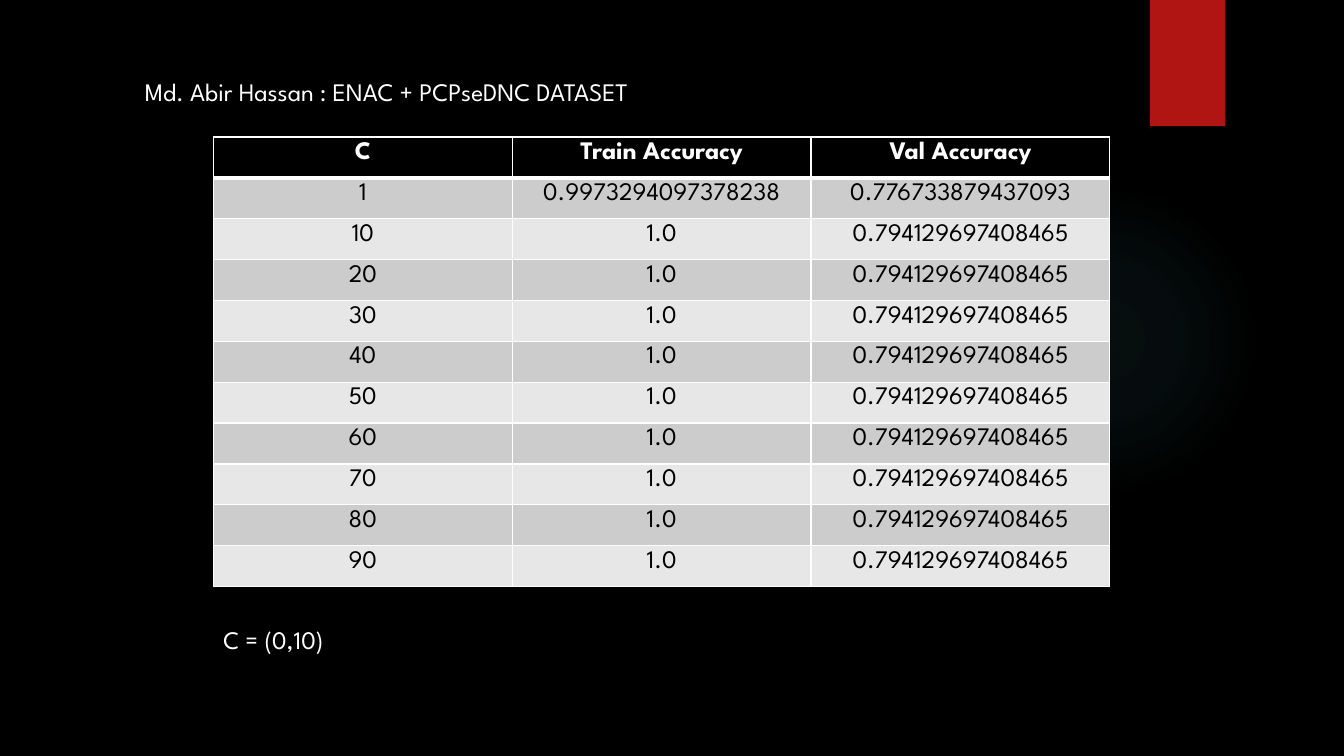
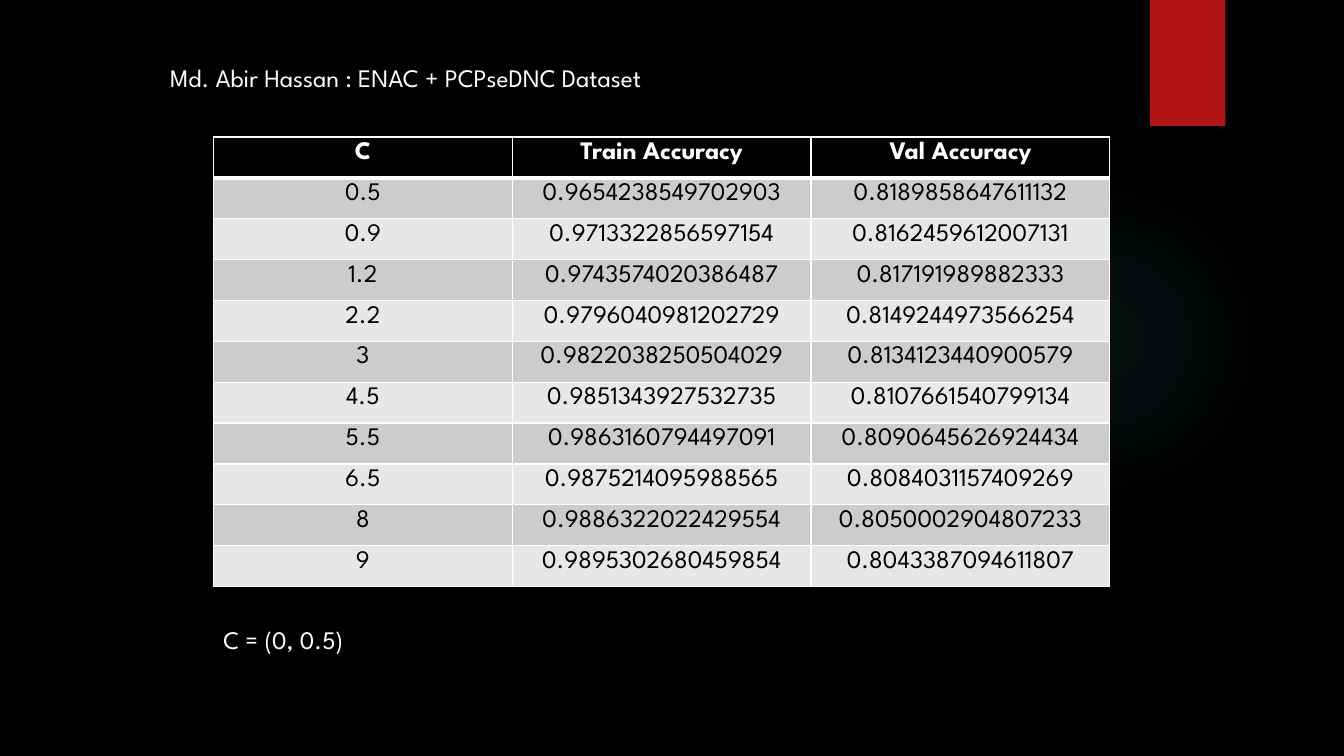
from dataclasses import dataclass

from pptx import Presentation
from pptx.dml.color import RGBColor as Rgb
from pptx.enum.shapes import MSO_SHAPE as Shape
from pptx.enum.text import MSO_AUTO_SIZE as AutoSize, PP_ALIGN as Align
from pptx.oxml import parse_xml
from pptx.oxml.ns import nsdecls
from pptx.util import Cm, Pt


@dataclass(frozen=True)
class Theme:
    font: str = "League Spartan"
    size: int = 18
    dark: str = "000000"
    light: str = "FFFFFF"
    accent: str = "B01513"
    glow: str = "50B9C1"
    glow_stops: tuple = ((0, 7), (36, 6), (69, 0))
    bands: tuple = ("CCCCCC", "E7E7E7")
    rule: int = 1
    header_rule: int = 3


class Deck:
    def __init__(self, theme):
        self.theme = theme
        self.prs = Presentation()
        self.prs.slide_width, self.prs.slide_height = Cm(33.87), Cm(19.05)
        self.slide = None

    def new_slide(self):
        self.slide = self.prs.slides.add_slide(self.prs.slide_layouts[6])
        self.paint(self.slide.background.fill, self.theme.dark)
        self.glow(23.9, 4.65, 7.82)
        self.tab(28.98, 0, 1.9, 3.18)

    def paint(self, fill, color):
        fill.solid()
        fill.fore_color.rgb = Rgb.from_string(color)

    def outline(self, kind, left, top, width, height):
        shape = self.slide.shapes.add_shape(kind, Cm(left), Cm(top), Cm(width), Cm(height))
        shape.shadow.inherit = False
        shape.line.fill.background()
        return shape

    def glow(self, left, top, diameter):
        disc = self.outline(Shape.OVAL, left, top, diameter, diameter)
        disc.fill.background()
        stops = "".join(
            f'<a:gs pos="{place * 1000}"><a:srgbClr val="{self.theme.glow}">'
            f'<a:alpha val="{opacity * 1000}"/></a:srgbClr></a:gs>'
            for place, opacity in self.theme.glow_stops
        )
        gradient = parse_xml(
            f'<a:gradFill {nsdecls("a")}><a:gsLst>{stops}</a:gsLst><a:path path="circle">'
            '<a:fillToRect l="50000" t="50000" r="50000" b="50000"/></a:path></a:gradFill>'
        )
        properties = disc.element.spPr
        properties.replace(properties.find("{*}noFill"), gradient)

    def tab(self, left, top, width, height):
        self.paint(self.outline(Shape.RECTANGLE, left, top, width, height).fill, self.theme.accent)

    def add_text(self, frame, text, color, bold=False, align=Align.LEFT):
        paragraph = frame.paragraphs[0]
        paragraph.alignment = align
        run = paragraph.add_run()
        run.text = text
        look = {"name": self.theme.font, "size": Pt(self.theme.size), "bold": bold}
        for attribute, value in look.items():
            setattr(run.font, attribute, value)
        run.font.color.rgb = Rgb.from_string(color)

    def label(self, text, left, top, width):
        frame = self.slide.shapes.add_textbox(Cm(left), Cm(top), Cm(width), Cm(1.03)).text_frame
        for attribute, value in {"word_wrap": True, "auto_size": AutoSize.SHAPE_TO_FIT_TEXT}.items():
            setattr(frame, attribute, value)
        self.add_text(frame, text, self.theme.light)

    def borders(self, cell, **widths):
        for side in "LRTB":
            points = widths.get(side, self.theme.rule)
            cell._tc.get_or_add_tcPr().append(parse_xml(
                f'<a:ln{side} {nsdecls("a")} w="{int(Pt(points))}"><a:solidFill>'
                f'<a:srgbClr val="{self.theme.light}"/></a:solidFill></a:ln{side}>'
            ))

    def table(self, rows, left, top, column_width, row_height):
        theme = self.theme
        columns = len(rows[0])
        grid = self.slide.shapes.add_table(
            len(rows), columns, Cm(left), Cm(top),
            Cm(column_width * columns), Cm(row_height * len(rows)),
        ).table
        for row, values in enumerate(rows):
            header = row == 0
            fill = theme.dark if header else theme.bands[(row - 1) % 2]
            color = theme.light if header else theme.dark
            heavy = {0: {"B": theme.header_rule}, 1: {"T": theme.header_rule}}.get(row, {})
            for column, value in enumerate(values):
                cell = grid.cell(row, column)
                self.borders(cell, **heavy)
                self.paint(cell.fill, fill)
                self.add_text(cell.text_frame, value, color, header, Align.CENTER)

    def results(self, heading, heading_box, accuracies, c_range):
        self.new_slide()
        self.label(heading, *heading_box)
        self.table([("C", "Train Accuracy", "Val Accuracy"), *accuracies], 5.38, 3.45, 7.53, 1.03)
        self.label(c_range, 5.38, 15.6, 7.24)


wide_range = [("1", "0.9973294097378238", "0.776733879437093")] + [
    (str(c), "1.0", "0.794129697408465") for c in range(10, 100, 10)
]
narrow_range = [
    ("0.5", "0.9654238549702903", "0.8189858647611132"),
    ("0.9", "0.9713322856597154", "0.8162459612007131"),
    ("1.2", "0.9743574020386487", "0.817191989882333"),
    ("2.2", "0.9796040981202729", "0.8149244973566254"),
    ("3", "0.9822038250504029", "0.8134123440900579"),
    ("4.5", "0.9851343927532735", "0.8107661540799134"),
    ("5.5", "0.9863160794497091", "0.8090645626924434"),
    ("6.5", "0.9875214095988565", "0.8084031157409269"),
    ("8", "0.9886322022429554", "0.8050002904807233"),
    ("9", "0.9895302680459854", "0.8043387094611807"),
]

deck = Deck(Theme())
deck.results("Md. Abir Hassan : ENAC + PCPseDNC DATASET", (3.4, 1.8, 20), wide_range, "C = (0,10)")
deck.results("Md. Abir Hassan : ENAC + PCPseDNC Dataset", (4.04, 1.45, 17.78), narrow_range, "C = (0, 0.5)")
deck.prs.save("out.pptx")
